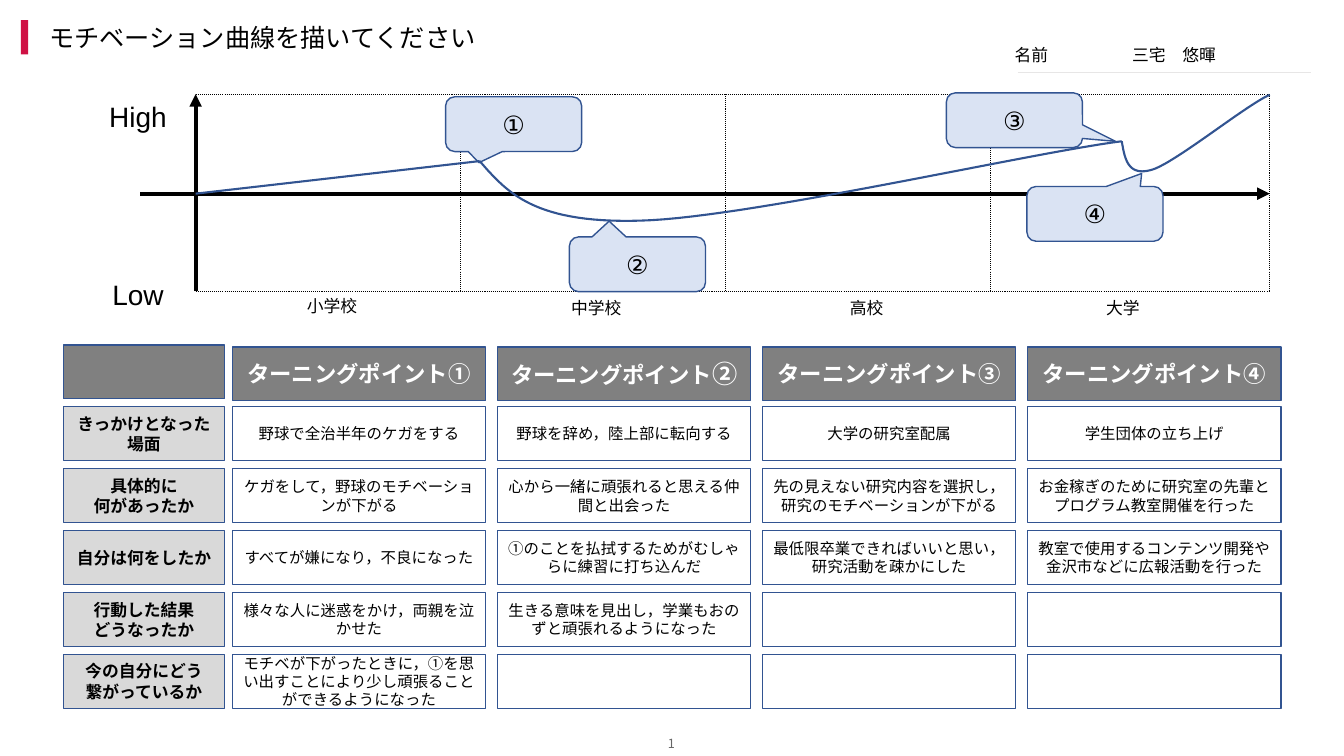
from lxml import etree
from pptx import Presentation
from pptx.dml.color import RGBColor
from pptx.enum.dml import MSO_LINE
from pptx.enum.shapes import MSO_CONNECTOR, MSO_SHAPE
from pptx.enum.text import MSO_ANCHOR, PP_ALIGN
from pptx.oxml.ns import qn
from pptx.util import Cm, Pt

RECT, CALLOUT = MSO_SHAPE.RECTANGLE, MSO_SHAPE.ROUNDED_RECTANGULAR_CALLOUT
STRAIGHT, DOTTED = MSO_CONNECTOR.STRAIGHT, MSO_LINE.ROUND_DOT
LEFT, CENTER = PP_ALIGN.LEFT, PP_ALIGN.CENTER
TOP, MIDDLE = MSO_ANCHOR.TOP, MSO_ANCHOR.MIDDLE

BLACK = RGBColor(0x00, 0x00, 0x00)
WHITE = RGBColor(0xFF, 0xFF, 0xFF)
CRIMSON = RGBColor(0xCF, 0x11, 0x44)
BLUE = RGBColor(0x32, 0x54, 0x91)
PALE_BLUE = RGBColor(0xDA, 0xE3, 0xF3)
DARK_GRAY = RGBColor(0x80, 0x80, 0x80)
LIGHT_GRAY = RGBColor(0xD9, 0xD9, 0xD9)
RULE_GRAY = RGBColor(0xE7, 0xE6, 0xE6)
PAGE_GRAY = RGBColor(0x66, 0x66, 0x66)

LATIN, JAPANESE = "Arial", "Noto Sans CJK JP"

LABEL = {"size": Pt(12), "bold": True}
HEADER = {"size": Pt(16), "bold": True, "color": WHITE}
ENTRY = {"size": Pt(11)}
MARK = {"size": Pt(18)}

STAGES = [("小学校", 8.37, 7.34), ("中学校", 15.03, 7.37),
          ("高校", 21.84, 7.37), ("大学", 28.3, 7.37)]
CALLOUTS = [("①", 11.23, 2.44, (-0.255, 0.703)),
            ("②", 14.35, 5.97, (-0.208, -0.787)),
            ("③", 23.85, 2.34, (0.743, 0.386)),
            ("④", 25.88, 4.7, (0.343, -0.737))]
# Each curve is a chain of cubic Bézier segments: start, then control, control, end
CURVES = [
    [(12.09, 4.06), (12.78, 4.85), (13.46, 5.64), (16.15, 5.56),
     (18.85, 5.49), (26.01, 3.84), (28.27, 3.56)],
    [(28.27, 3.56), (28.35, 4.01), (28.42, 4.47), (29.06, 4.27),
     (29.67, 4.06), (31.42, 2.64), (32.0, 2.39)],
]
ROWS = [
    ("きっかけとなった\n場面", "野球で全治半年のケガをする", "野球を辞め，陸上部に転向する",
     "大学の研究室配属", "学生団体の立ち上げ"),
    ("具体的に\n何があったか", "ケガをして，野球のモチベーションが下がる",
     "心から一緒に頑張れると思える仲間と出会った",
     "先の見えない研究内容を選択し，研究のモチベーションが下がる",
     "お金稼ぎのために研究室の先輩とプログラム教室開催を行った"),
    ("自分は何をしたか", "すべてが嫌になり，不良になった",
     "①のことを払拭するためがむしゃらに練習に打ち込んだ",
     "最低限卒業できればいいと思い，研究活動を疎かにした",
     "教室で使用するコンテンツ開発や金沢市などに広報活動を行った"),
    ("行動した結果\nどうなったか", "様々な人に迷惑をかけ，両親を泣かせた",
     "生きる意味を見出し，学業もおのずと頑張れるようになった", "", ""),
    ("今の自分にどう\n繋がっているか",
     "モチベが下がったときに，①を思い出すことにより少し頑張ることができるようになった",
     "", "", ""),
]


def bezier(p0, p1, p2, p3, steps=30):
    """Return points along one cubic segment, without its start."""
    points = []
    for i in range(1, steps + 1):
        t = i / steps
        u = 1 - t
        weights = (u ** 3, 3 * u * u * t, 3 * u * t * t, t ** 3)
        points.append(tuple(Cm(sum(w * p[axis] for w, p in zip(weights, (p0, p1, p2, p3))))
                            for axis in (0, 1)))
    return points


class Canvas:
    def __init__(self, slide):
        self.s = slide

    def fill_text(self, shape, text, fmt, align=CENTER, anchor=MIDDLE, wrap=True):
        tf = shape.text_frame
        tf.word_wrap, tf.vertical_anchor = wrap, anchor
        for i, line in enumerate(text.split("\n")):
            p = tf.paragraphs[0] if i == 0 else tf.add_paragraph()
            p.alignment = align
            # A larger closing mark may follow a "|"
            for part, size in zip(line.split("|"), (fmt["size"], Pt(18))):
                r = p.add_run()
                r.text = part
                values = {"name": LATIN, **fmt, "size": size}
                r.font.color.rgb = values.pop("color", BLACK)
                for name, value in values.items():
                    setattr(r.font, name, value)
                ea = etree.SubElement(r._r.get_or_add_rPr(), qn("a:ea"))
                ea.set("typeface", JAPANESE)

    def text(self, x, y, w, h, text, fmt, **layout):
        tb = self.s.shapes.add_textbox(Cm(x), Cm(y), Cm(w), Cm(h))
        self.fill_text(tb, text, fmt, **layout)

    def box(self, x, y, w, h, fill, text="", fmt=ENTRY, kind=RECT, line=BLUE):
        sp = self.s.shapes.add_shape(kind, Cm(x), Cm(y), Cm(w), Cm(h))
        sp.shadow.inherit = False
        sp.fill.solid()
        sp.fill.fore_color.rgb = fill
        if line is None:
            sp.line.fill.background()
        else:
            sp.line.color.rgb, sp.line.width = line, Pt(1)
        if text:
            self.fill_text(sp, text, fmt)
        return sp

    def callout(self, x, y, text, tip):
        sp = self.box(x, y, 3.43, 1.38, PALE_BLUE, text, MARK, CALLOUT)
        for i, value in enumerate(tip):
            sp.adjustments[i] = value

    def line(self, x1, y1, x2, y2, color=BLACK, width=0.75, dash=None, arrow=False):
        cx = self.s.shapes.add_connector(STRAIGHT, Cm(x1), Cm(y1), Cm(x2), Cm(y2))
        cx.line.color.rgb, cx.line.width = color, Pt(width)
        if dash:
            cx.line.dash_style = dash
        if arrow:
            etree.SubElement(cx.get_or_add_ln(), qn("a:tailEnd")).set("type", "triangle")
        etree.SubElement(cx._element.spPr, qn("a:effectLst"))

    def curve(self, points):
        x, y = points[0]
        fb = self.s.shapes.build_freeform(Cm(x), Cm(y))
        for i in range(0, len(points) - 1, 3):
            fb.add_line_segments(bezier(*points[i:i + 4]), close=False)
        sp = fb.convert_to_shape()
        sp.shadow.inherit = False
        sp.fill.background()
        sp.line.color.rgb, sp.line.width = BLUE, Pt(1.5)


def draw_heading(c):
    c.text(16.4, 18.42, 1.04, 0.64, "1", {"size": Pt(9), "color": PAGE_GRAY, "name": JAPANESE},
           wrap=False)
    c.box(0.53, 0.51, 0.18, 0.86, CRIMSON, line=None)
    c.line(25.65, 1.83, 33.05, 1.83, RULE_GRAY)
    c.text(25.32, 0.99, 6.68, 0.76, "名前　　　　　三宅　悠暉", {"size": Pt(12)}, align=LEFT)
    c.text(0.99, 0.43, 19.48, 1.02, "モチベーション曲線を描いてください", MARK, align=LEFT)


def draw_chart(c):
    left, right, top, bottom, middle = 4.93, 32, 2.37, 7.34, 4.88
    c.line(3.53, middle, right, middle, width=3, arrow=True)
    c.line(left, bottom, left, top, width=3, arrow=True)
    for text, y in (("High", 2.39), ("Low", 6.88)):
        c.text(1.88, y, 3.2, 0.91, text, {"size": Pt(20)}, anchor=TOP)
    for x in (11.61, 18.29, 24.97, right):
        c.line(x, top, x, bottom, dash=DOTTED)
    for y in (top, bottom):
        c.line(left, y, right, y, dash=DOTTED)
    for text, x, y in STAGES:
        c.text(x - 1.03, y, 2.06, 0.41, text, {"size": Pt(12)}, anchor=TOP, wrap=False)
    for mark, x, y, tip in CALLOUTS:
        c.callout(x, y, mark, tip)
    c.line(left, middle, 12.09, 4.06, BLUE, 1.5)
    for points in CURVES:
        c.curve(points)


def draw_grid(c):
    label_x, column_x, column_step, width, height = 1.6, 5.86, 6.68, 6.38, 1.36
    c.box(label_x, 8.69, 4.06, height, DARK_GRAY)
    for i, mark in enumerate(("①", "|②", "③", "④")):
        c.box(column_x + i * column_step, 8.74, width, height, DARK_GRAY,
              "ターニングポイント" + mark, HEADER)
    for i, (label, *entries) in enumerate(ROWS):
        y = 10.25 + 1.56 * i
        c.box(label_x, y, 4.06, height, LIGHT_GRAY, label, LABEL)
        for j, entry in enumerate(entries):
            c.box(column_x + j * column_step, y, width, height, WHITE, entry)


def main():
    prs = Presentation()
    prs.slide_width, prs.slide_height = Cm(33.87), Cm(19.05)
    c = Canvas(prs.slides.add_slide(prs.slide_layouts[6]))
    draw_heading(c)
    draw_chart(c)
    draw_grid(c)
    prs.save("out.pptx")


if __name__ == "__main__":
    main()
